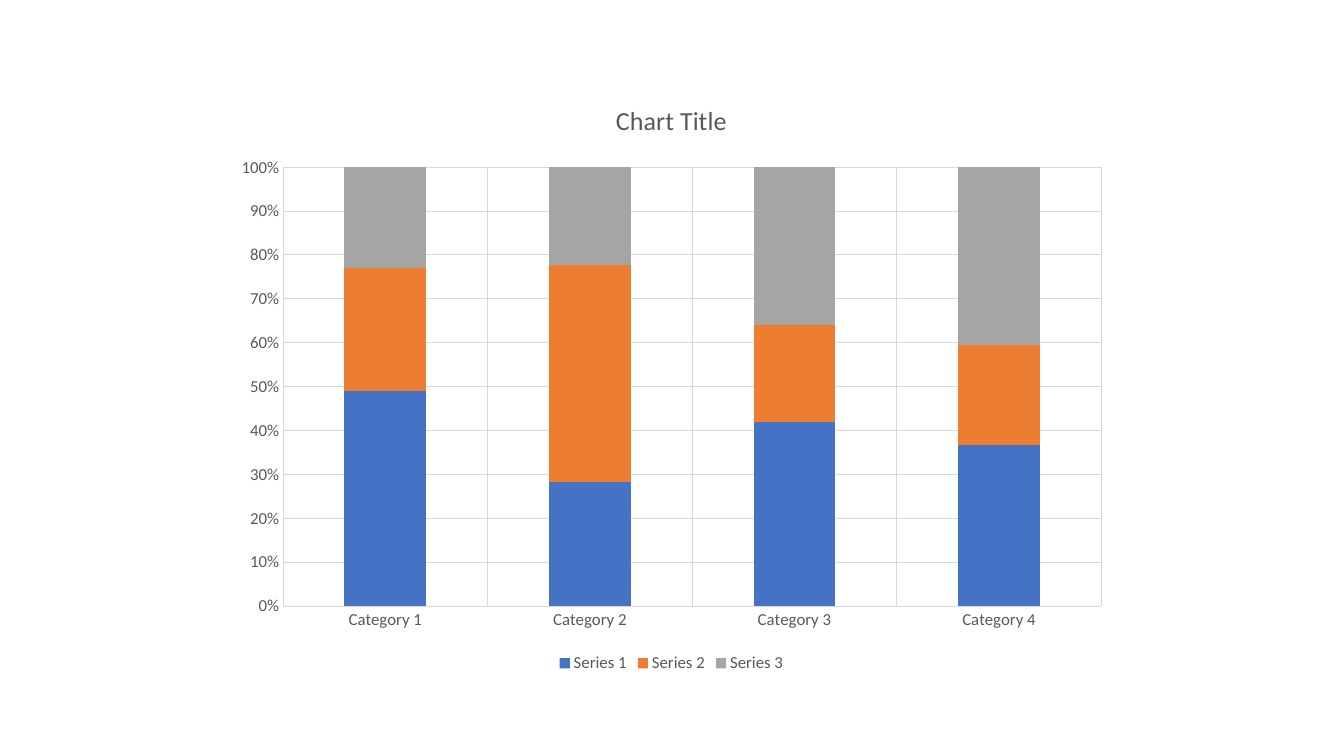
"""Build a slide with a 100% stacked column chart of three series."""
from dataclasses import dataclass

from pptx import Presentation
from pptx.chart.axis import _BaseAxis
from pptx.chart.chart import Chart
from pptx.chart.data import CategoryChartData
from pptx.dml.color import RGBColor
from pptx.dml.line import LineFormat
from pptx.enum.chart import XL_CHART_TYPE, XL_LEGEND_POSITION, XL_TICK_MARK
from pptx.slide import Slide
from pptx.text.text import Font
from pptx.util import Emu, Pt

PX = 9525


@dataclass(frozen=True)
class Theme:
    font: str = "Calibri"
    text: RGBColor = RGBColor(0x59, 0x59, 0x59)
    grid: RGBColor = RGBColor(0xD9, 0xD9, 0xD9)
    title_size: float = 18.6
    label_size: float = 12
    line_width: float = 0.75


@dataclass(frozen=True)
class Series:
    name: str
    values: tuple[int, ...]
    color: RGBColor


THEME = Theme()
CATEGORIES = [f"Category {n}" for n in range(1, 5)]
SERIES = [
    Series("Series 1", (49, 28, 42, 37), RGBColor(0x44, 0x72, 0xC4)),
    Series("Series 2", (28, 49, 22, 23), RGBColor(0xED, 0x7D, 0x31)),
    Series("Series 3", (23, 22, 36, 41), RGBColor(0xA5, 0xA5, 0xA5)),
]


def px(n: int) -> Emu:
    return Emu(n * PX)


def style_font(font: Font, size: float) -> None:
    font.name = THEME.font
    font.size = Pt(size)
    font.bold = False
    font.color.rgb = THEME.text


def style_line(line: LineFormat) -> None:
    line.color.rgb = THEME.grid
    line.width = Pt(THEME.line_width)


def style_axis(axis: _BaseAxis) -> None:
    axis.major_tick_mark = XL_TICK_MARK.NONE
    axis.minor_tick_mark = XL_TICK_MARK.NONE
    axis.has_major_gridlines = True
    style_line(axis.major_gridlines.format.line)
    style_font(axis.tick_labels.font, THEME.label_size)


def add_stacked_chart(s: Slide) -> Chart:
    data = CategoryChartData()
    data.categories = CATEGORIES
    for series in SERIES:
        data.add_series(series.name, series.values)
    return s.shapes.add_chart(
        XL_CHART_TYPE.COLUMN_STACKED_100, px(213), px(76), px(853), px(569), data
    ).chart


def style_chart(chart: Chart) -> None:
    style_font(chart.font, THEME.label_size)
    chart.has_title = True
    tf = chart.chart_title.text_frame
    tf.text = "Chart Title"
    style_font(tf.paragraphs[0].font, THEME.title_size)
    chart.chart_title.include_in_layout = False

    chart.has_legend = True
    chart.legend.position = XL_LEGEND_POSITION.BOTTOM
    chart.legend.include_in_layout = False
    style_font(chart.legend.font, THEME.label_size)

    for axis in (chart.category_axis, chart.value_axis):
        style_axis(axis)
    style_line(chart.category_axis.format.line)
    chart.value_axis.format.line.fill.background()
    chart.value_axis.tick_labels.number_format = "0%"
    chart.value_axis.tick_labels.number_format_is_linked = False

    plot = chart.plots[0]
    plot.gap_width = 150
    plot.overlap = 100
    plot.vary_by_categories = False
    for drawn, series in zip(plot.series, SERIES):
        drawn.format.fill.solid()
        drawn.format.fill.fore_color.rgb = series.color


def main() -> None:
    prs = Presentation()
    prs.slide_width, prs.slide_height = px(1280), px(720)
    s = prs.slides.add_slide(prs.slide_layouts[6])
    style_chart(add_stacked_chart(s))
    prs.save("out.pptx")


if __name__ == "__main__":
    main()
